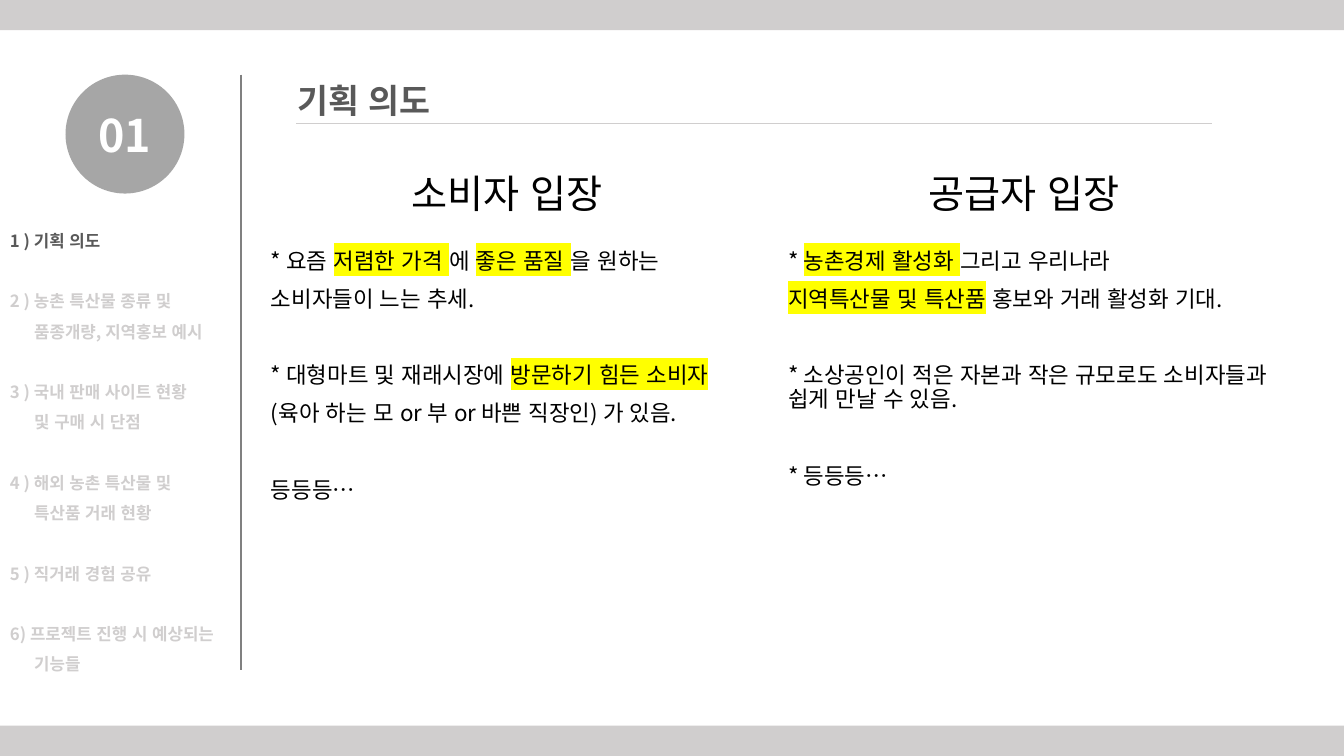
from lxml.etree import SubElement
from pptx import Presentation
from pptx.dml.color import RGBColor
from pptx.enum.lang import MSO_LANGUAGE_ID as Language
from pptx.enum.shapes import MSO_CONNECTOR as Connector, MSO_SHAPE as Preset
from pptx.enum.text import MSO_ANCHOR as Anchor, PP_ALIGN as Align
from pptx.oxml.ns import qn
from pptx.util import Inches, Pt

THEME = {
    "font": "Noto Sans CJK KR",
    "bar": "D0CECE", "circle": "A6A6A6", "divider": "808080",
    "dark": "595959", "muted": "D0CECE", "white": "FFFFFF",
    "black": "000000", "marker": "FFFF00",
    "number": 32, "title": 24, "heading": 28, "body": 16, "menu": 12,
}
COLUMNS, ROWS = 40, 25

presentation = Presentation()
presentation.slide_width, presentation.slide_height = Inches(13.33), Inches(7.5)
slide = presentation.slides.add_slide(presentation.slide_layouts[6])
shapes = slide.shapes


def area(left, top, width, height):
    column = presentation.slide_width / COLUMNS
    row = presentation.slide_height / ROWS
    return [round(length) for length in (left * column, top * row, width * column, height * row)]


def write_text(frame, runs, *, size, color="black", bold=False, align=Align.LEFT,
               anchor=Anchor.TOP, line=1.0, before=0, indent=0):
    frame.word_wrap = True
    frame.vertical_anchor = anchor
    paragraph = frame.add_paragraph() if frame.text else frame.paragraphs[0]
    paragraph.alignment = align
    paragraph.line_spacing = line
    paragraph.space_before = Pt(before)
    paragraph._p.get_or_add_pPr().set("marL", str(Inches(indent)))
    for text, marked in runs:
        run = paragraph.add_run()
        run.text = text
        font = run.font
        font.size, font.bold = Pt(THEME[size]), bold
        font.color.rgb = RGBColor.from_string(THEME[color])
        font.name = THEME["font"]
        font.language_id = Language.KOREAN
        properties = run._r.get_or_add_rPr()
        SubElement(properties, qn("a:ea")).set("typeface", THEME["font"])
        if marked:
            highlight = SubElement(properties, qn("a:highlight"))
            SubElement(highlight, qn("a:srgbClr")).set("val", THEME["marker"])
            properties.find(qn("a:latin")).addprevious(highlight)


for left, top, width, height, color, weight in [
    (7.17, 2.47, 0, 19.7, "divider", 1),
    (8.82, 4.07, 27.24, 0, "bar", 0.5),
]:
    x, y, across, down = area(left, top, width, height)
    connector = shapes.add_connector(Connector.STRAIGHT, x, y, x + across, y + down)
    connector.line.color.rgb = RGBColor.from_string(THEME[color])
    connector.line.width = Pt(weight)
    SubElement(connector._element.spPr, qn("a:effectLst"))

for preset, box, color in [
    (Preset.RECTANGLE, (0, 0, COLUMNS, 1), "bar"),
    (Preset.RECTANGLE, (0, ROWS - 1, COLUMNS, 1), "bar"),
    (Preset.OVAL, (1.95, 2.47, 3.54, 3.93), "circle"),
]:
    shape = shapes.add_shape(preset, *area(*box))
    shape.shadow.inherit = False
    shape.fill.solid()
    shape.fill.fore_color.rgb = RGBColor.from_string(THEME[color])
    shape.line.fill.background()

write_text(shape.text_frame, [("01", False)], size="number", color="white", bold=True,
           align=Align.CENTER, anchor=Anchor.MIDDLE)

title = shapes.add_textbox(*area(8.55, 2.47, 5.4, 1.67))
write_text(title.text_frame, [("기획 의도", False)], size="title", color="dark", bold=True)

menu = shapes.add_textbox(*area(0, 7.13, 7.35, 15.37))
MENU_ITEMS = [
    ["1 ) 기획 의도"],
    ["2 ) 농촌 특산물 종류 및", "품종개량, 지역홍보 예시"],
    ["3 ) 국내 판매 사이트 현황", "및 구매 시 단점"],
    ["4 ) 해외 농촌 특산물 및", "특산품 거래 현황"],
    ["5 ) 직거래 경험 공유"],
    ["6) 프로젝트 진행 시 예상되는", "기능들"],
]
for item, lines in enumerate(MENU_ITEMS):
    for position, text in enumerate(lines):
        write_text(menu.text_frame, [(text, False)], size="menu", bold=True, line=1.5,
                   color="muted" if item else "dark",
                   before=21.6 if item and not position else 0,
                   indent=0.24 if position else 0)

VIEWS = [
    ("소비자 입장", [
        [[("* 요즘 ", False), ("저렴한 가격 ", True), ("에 ", False),
          ("좋은 품질 ", True), ("을 원하는", False)],
         [("소비자들이 느는 추세.", False)]],
        [[("* 대형마트 및 재래시장에 ", False), ("방문하기 힘든 소비자", True)],
         [("(육아 하는 모 or 부 or 바쁜 직장인) 가 있음.", False)]],
        [[("등등등…", False)]],
    ]),
    ("공급자 입장", [
        [[("* ", False), ("농촌경제 활성화 ", True), ("그리고 우리나라", False)],
         [("지역특산물 및 특산품", True), (" 홍보와 거래 활성화 기대.", False)]],
        [[("* 소상공인이 적은 자본과 작은 규모로도 소비자들과 쉽게 만날 수 있음.", False)]],
        [[("* 등등등…", False)]],
    ]),
]
for view, (name, points) in enumerate(VIEWS):
    left = 7.77 + view * 15.4
    heading = shapes.add_textbox(*area(left + 4.18, 5.3, 7.02, 2.33))
    write_text(heading.text_frame, [(name, False)], size="heading", line=0.9,
               anchor=Anchor.MIDDLE)
    body = shapes.add_textbox(*area(left, 8.1, 15.42, 10.4))
    for point, lines in enumerate(points):
        for position, runs in enumerate(lines):
            gap = 10 if position else 37.3 if point else 0
            write_text(body.text_frame, runs, size="body", line=0.9, before=gap)

presentation.save("out.pptx")
